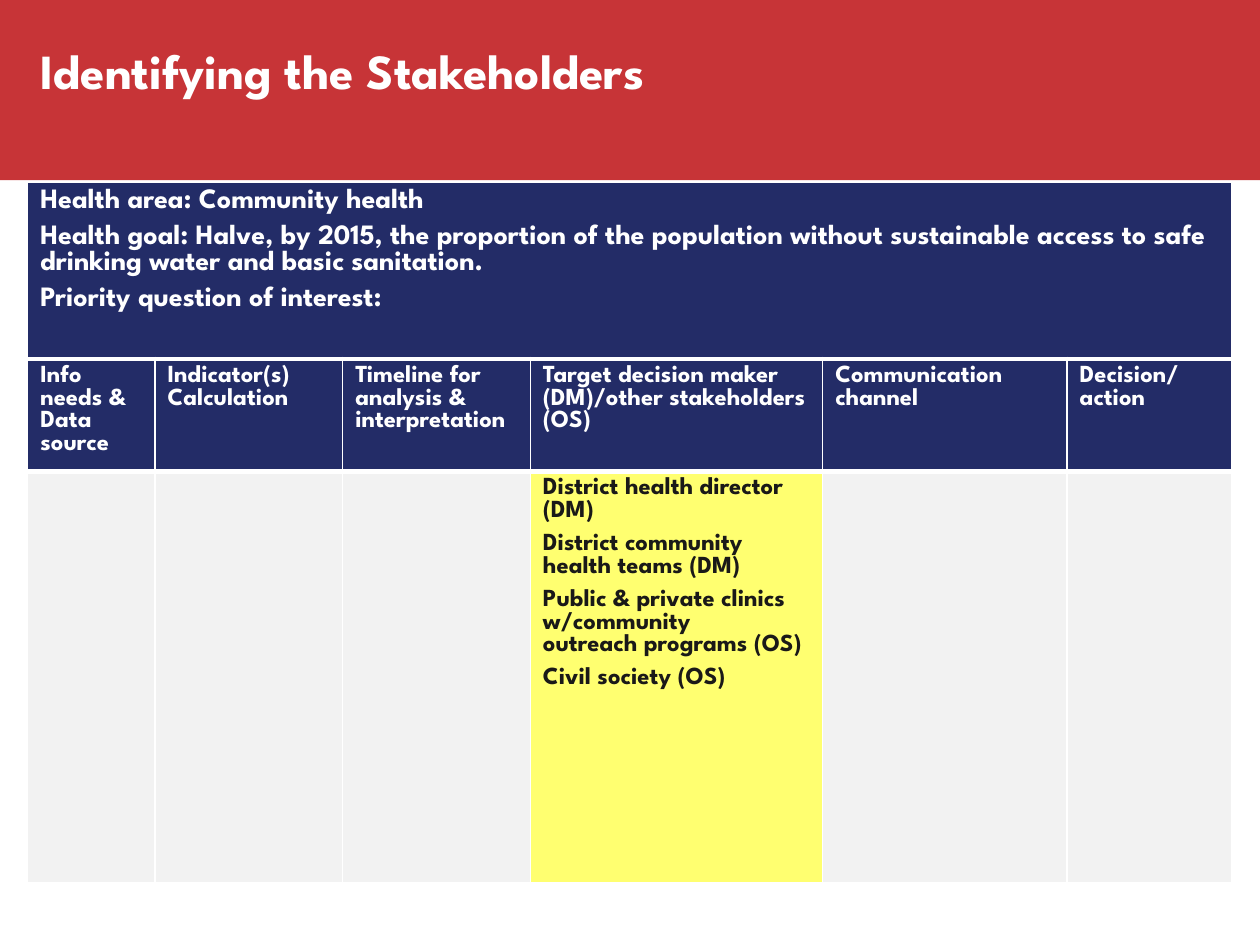
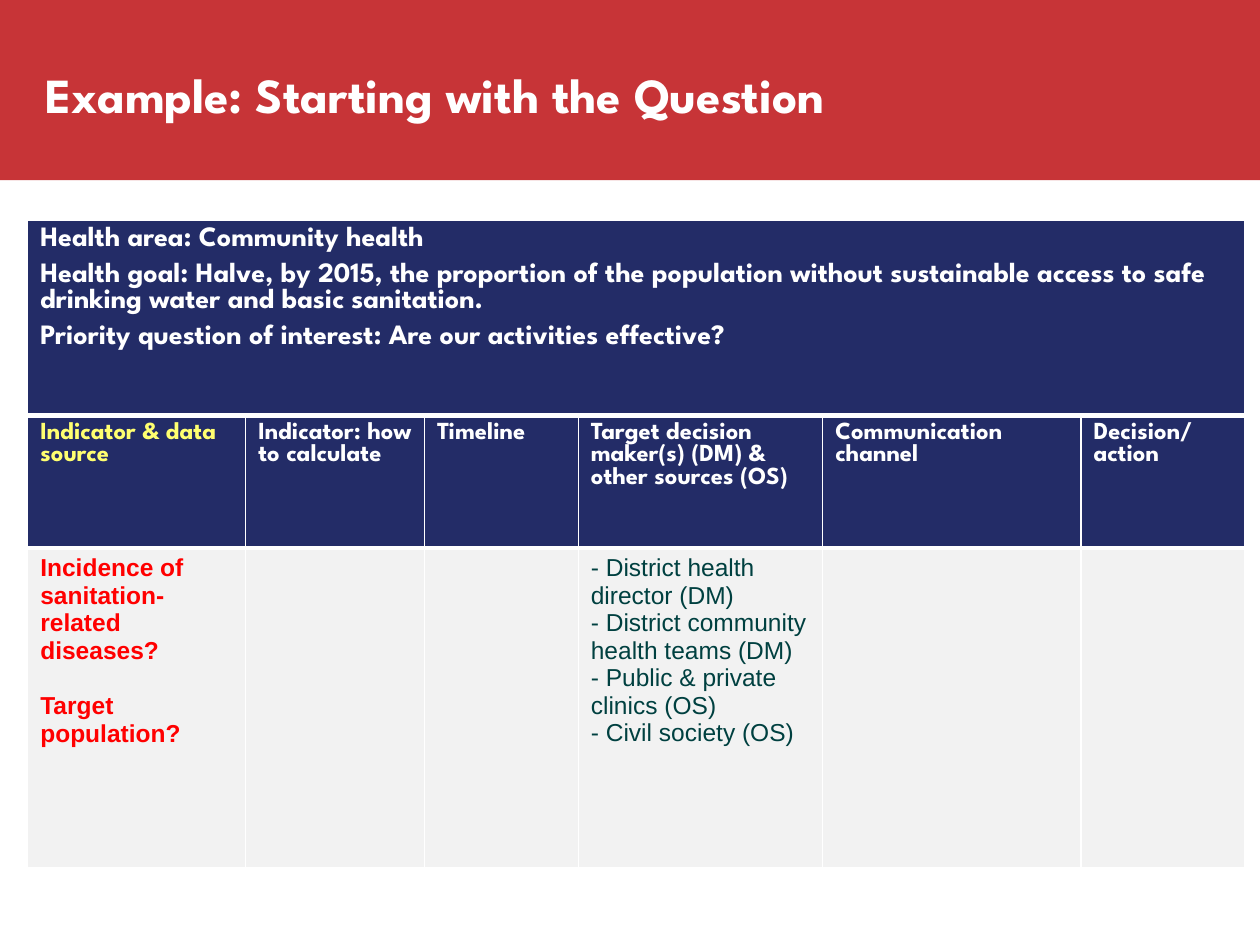
import dataclasses
import typing

import lxml.etree
import pptx
import pptx.dml.color
import pptx.enum.shapes
import pptx.enum.text
import pptx.oxml.ns
import pptx.presentation
import pptx.shapes.autoshape
import pptx.slide
import pptx.table
import pptx.util

RED = pptx.dml.color.RGBColor(0xC7, 0x34, 0x37)
NAVY = pptx.dml.color.RGBColor(0x23, 0x2C, 0x67)
WHITE = pptx.dml.color.RGBColor(0xFF, 0xFF, 0xFF)
PALE_GREY = pptx.dml.color.RGBColor(0xF2, 0xF2, 0xF2)
YELLOW = pptx.dml.color.RGBColor(0xFF, 0xFF, 0x70)
INK = pptx.dml.color.RGBColor(0x1A, 0x19, 0x18)
ALERT_RED = pptx.dml.color.RGBColor(0xFF, 0x00, 0x00)
DARK_TEAL = pptx.dml.color.RGBColor(0x00, 0x40, 0x40)

SLIDE_WIDTH = pptx.util.Inches(10)
SLIDE_HEIGHT = pptx.util.Inches(7.5)
BAND_HEIGHT = 19.07
TITLE_ONLY_LAYOUT = 5
THIN, THICK = 1, 3


@dataclasses.dataclass(frozen=True)
class TextStyle:
    size: float
    color: pptx.dml.color.RGBColor = WHITE
    font: str = "League Spartan"
    bold: bool = True


@dataclasses.dataclass(frozen=True)
class Line:
    text: str
    space_after: float = 0


@dataclasses.dataclass(frozen=True)
class CellContent:
    lines: tuple[Line, ...] = ()
    style: TextStyle = TextStyle(14)
    fill: pptx.dml.color.RGBColor = PALE_GREY


@dataclasses.dataclass(frozen=True)
class Box:
    left: float
    top: float
    width: float
    height: float

    def place(self) -> dict[str, int]:
        return {
            "left": across(self.left),
            "top": down(self.top),
            "width": across(self.width),
            "height": down(self.height),
        }


@dataclasses.dataclass(frozen=True)
class PlanSlide:
    title: str
    title_box: Box
    table_top: float
    column_shares: tuple[float, ...]
    row_shares: tuple[float, ...]
    question: str
    headings: tuple[CellContent, ...]
    answers: dict[int, CellContent]


TITLE_STYLE = TextStyle(28)
SUMMARY_STYLE = TextStyle(16)
TABLE_LEFT = 2.2


def across(share: float) -> int:
    return round(SLIDE_WIDTH * share / 100)


def down(share: float) -> int:
    return round(SLIDE_HEIGHT * share / 100)


def heading(*texts: str, color: pptx.dml.color.RGBColor = WHITE) -> CellContent:
    return CellContent(tuple(map(Line, texts)), TextStyle(14, color), NAVY)


def summary(question: str) -> CellContent:
    texts = (
        "Health area: Community health",
        "Health goal: Halve, by 2015, the proportion of the population without "
        "sustainable access to safe drinking water and basic sanitation.",
        question,
    )
    return CellContent(tuple(Line(text, 6) for text in texts), SUMMARY_STYLE, NAVY)


PLAN_SLIDES = (
    PlanSlide(
        title="Identifying the Stakeholders",
        title_box=Box(2.2, 3.6, 85.4, 7.6),
        table_top=19.33,
        column_shares=(10.1, 14.9, 14.9, 23.2, 19.4, 13.1),
        row_shares=(18.67, 11.87, 43.73),
        question="Priority question of interest:",
        headings=(
            heading("Info needs &", "Data source"),
            heading("Indicator(s)", "Calculation"),
            heading("Timeline for analysis & interpretation"),
            heading("Target decision maker (DM)/other stakeholders (OS)"),
            heading("Communication channel"),
            heading("Decision/ action"),
        ),
        answers={
            3: CellContent(
                (
                    Line("District health director (DM)", 6),
                    Line("District community health teams (DM)", 6),
                    Line("Public & private clinics w/community"),
                    Line("outreach programs (OS)", 6),
                    Line("Civil society (OS)"),
                ),
                TextStyle(14, INK),
                YELLOW,
            )
        },
    ),
    PlanSlide(
        title="Example: Starting with the Question",
        title_box=Box(2.6, 1.6, 84.9, 16.67),
        table_top=23.33,
        column_shares=(17.3, 14.2, 12.2, 19.4, 20.5, 13),
        row_shares=(20.67, 14, 34),
        question="Priority question of interest: Are our activities effective?",
        headings=(
            heading("Indicator & data source", color=YELLOW),
            heading("Indicator: how to calculate"),
            heading("Timeline"),
            heading("Target decision maker(s) (DM) & other sources (OS)"),
            heading("Communication channel"),
            heading("Decision/ action"),
        ),
        answers={
            0: CellContent(
                (
                    Line("Incidence of sanitation-related diseases?", 16),
                    Line("Target population?"),
                ),
                TextStyle(14, ALERT_RED, "Arial"),
            ),
            3: CellContent(
                (
                    Line("- District health director (DM)"),
                    Line("- District community health teams (DM)"),
                    Line("- Public & private clinics (OS)"),
                    Line("- Civil society (OS)"),
                ),
                TextStyle(14, DARK_TEAL, "Arial", False),
            ),
        },
    ),
)


def set_attributes(target: typing.Any, values: dict[str, typing.Any]) -> None:
    for name, value in values.items():
        setattr(target, name, value)


def write_lines(text_frame: typing.Any, lines: tuple[Line, ...], style: TextStyle) -> None:
    for index, line in enumerate(lines):
        paragraph = text_frame.add_paragraph() if index else text_frame.paragraphs[0]
        set_attributes(
            paragraph,
            {
                "alignment": pptx.enum.text.PP_ALIGN.LEFT,
                "space_before": pptx.util.Pt(0),
                "space_after": pptx.util.Pt(line.space_after),
            },
        )
        run = paragraph.add_run()
        run.text = line.text
        set_attributes(
            run.font,
            {"name": style.font, "size": pptx.util.Pt(style.size), "bold": style.bold},
        )
        run.font.color.rgb = style.color


def set_borders(cell: pptx.table._Cell, top: float) -> None:
    properties = cell._tc.get_or_add_tcPr()
    widths = {"lnL": THIN, "lnR": THIN, "lnT": top, "lnB": THICK}
    for index, (tag, width) in enumerate(widths.items()):
        border = lxml.etree.Element(
            pptx.oxml.ns.qn(f"a:{tag}"), w=str(pptx.util.Pt(width))
        )
        fill = lxml.etree.SubElement(border, pptx.oxml.ns.qn("a:solidFill"))
        lxml.etree.SubElement(fill, pptx.oxml.ns.qn("a:srgbClr"), val=str(WHITE))
        properties.insert(index, border)


def fill_cell(cell: pptx.table._Cell, content: CellContent, top_border: float) -> None:
    cell.fill.solid()
    cell.fill.fore_color.rgb = content.fill
    write_lines(cell.text_frame, content.lines, content.style)
    set_borders(cell, top_border)


def add_plan_table(slide: pptx.slide.Slide, plan: PlanSlide) -> None:
    column_count = len(plan.column_shares)
    box = Box(TABLE_LEFT, plan.table_top, sum(plan.column_shares), sum(plan.row_shares))
    table = slide.shapes.add_table(
        len(plan.row_shares), column_count, **box.place()
    ).table
    set_attributes(table, {"first_row": False, "horz_banding": False})
    for column, share in zip(table.columns, plan.column_shares):
        column.width = across(share)
    for row, share in zip(table.rows, plan.row_shares):
        row.height = down(share)
    table.cell(0, 0).merge(table.cell(0, column_count - 1))
    contents = (
        [summary(plan.question)] + [CellContent(fill=NAVY)] * (column_count - 1),
        plan.headings,
        [plan.answers.get(index, CellContent()) for index in range(column_count)],
    )
    for row_index, row_contents in enumerate(contents):
        for column_index, content in enumerate(row_contents):
            cell = table.cell(row_index, column_index)
            fill_cell(cell, content, THICK if row_index else THIN)


def add_title(slide: pptx.slide.Slide, plan: PlanSlide) -> None:
    title = slide.shapes.title
    set_attributes(title, plan.title_box.place())
    set_attributes(
        title.text_frame,
        {
            "word_wrap": True,
            "auto_size": pptx.enum.text.MSO_AUTO_SIZE.NONE,
            "vertical_anchor": pptx.enum.text.MSO_ANCHOR.MIDDLE,
        },
    )
    write_lines(title.text_frame, (Line(plan.title),), TITLE_STYLE)


def move_band_to_layout(slide: pptx.slide.Slide) -> None:
    band = slide.shapes.add_shape(
        pptx.enum.shapes.MSO_SHAPE.RECTANGLE, **Box(0, 0, 100, BAND_HEIGHT).place()
    )
    band.shadow.inherit = False
    band.fill.solid()
    band.fill.fore_color.rgb = RED
    band.line.fill.background()
    slide.slide_layout.shapes.element.insert(2, band.element)


def main() -> None:
    presentation = pptx.Presentation()
    set_attributes(
        presentation, {"slide_width": SLIDE_WIDTH, "slide_height": SLIDE_HEIGHT}
    )
    layout = presentation.slide_layouts[TITLE_ONLY_LAYOUT]
    for index, plan in enumerate(PLAN_SLIDES):
        slide = presentation.slides.add_slide(layout)
        if index == 0:
            move_band_to_layout(slide)
        add_plan_table(slide, plan)
        add_title(slide, plan)
    presentation.save("out.pptx")


if __name__ == "__main__":
    main()
